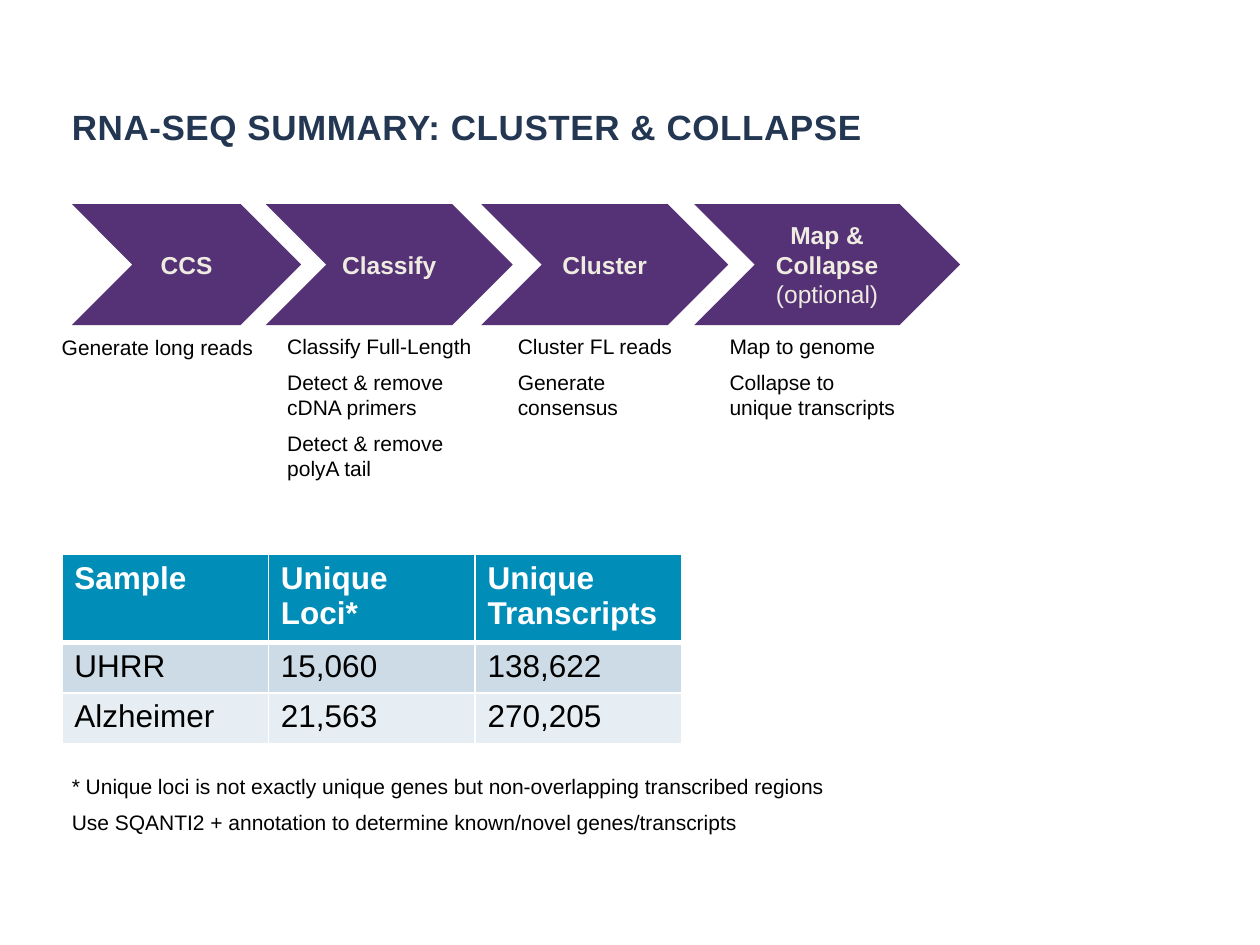
from lxml import etree
from pptx import Presentation
from pptx.dml.color import RGBColor
from pptx.enum import shapes, text
from pptx.oxml.ns import qn
from pptx.util import Inches, Pt

THEME = {
    "font": "Arial",
    "title": "233652", "chevron": "553176", "chevron_text": "EEECE1",
    "body": "000000", "header": "008EB9", "white": "FFFFFF",
    "bands": ("CCDBE6", "E7EEF3"),
    "title_size": 20, "step_size": 14, "note_size": 12, "table_size": 18,
}

TITLE = "RNA-SEQ SUMMARY: CLUSTER & COLLAPSE"
# Each step: name, qualifier, chevron (left, width), note (left, top, width), notes
STEPS = [
    ("CCS", None, (0.57, 1.82), (0.49, 2.61, 1.7), ["Generate long reads"]),
    ("Classify", None, (2.11, 1.96), (2.28, 2.6, 1.63),
     ["Classify Full-Length", "Detect & remove cDNA primers", "Detect & remove polyA tail"]),
    ("Cluster", None, (3.82, 1.96), (4.11, 2.6, 1.44),
     ["Cluster FL reads", "Generate consensus"]),
    ("Map & Collapse", "(optional)", (5.51, 2.11), (5.79, 2.6, 1.44),
     ["Map to genome", "Collapse to unique transcripts"]),
]
CHEVRON_TOP, CHEVRON_HEIGHT = 1.62, 0.96
TABLE = [
    (["Sample"], ["Unique", "Loci*"], ["Unique", "Transcripts"]),
    (["UHRR"], ["15,060"], ["138,622"]),
    (["Alzheimer"], ["21,563"], ["270,205"]),
]
ROW_HEIGHTS = (0.69, 0.4, 0.4)
COLUMN_WIDTH = 1.64
FOOTNOTES = [
    "* Unique loci is not exactly unique genes but non-overlapping transcribed regions",
    "Use SQANTI2 + annotation to determine known/novel genes/transcripts",
]


def rgb(name):
    return RGBColor.from_string(THEME.get(name, name))


def write(frame, lines, size, color="body", bold=False, align=None, after=None, spacing=None):
    """Fill a text frame with one paragraph per line."""
    for index, line in enumerate(lines):
        paragraph = frame.paragraphs[0] if index == 0 else frame.add_paragraph()
        paragraph.alignment = align
        if after is not None:
            paragraph.space_after = Pt(after)
        run = paragraph.add_run()
        run.text = line
        run.font.name = THEME["font"]
        run.font.size = Pt(THEME[size])
        run.font.bold = bold
        run.font.color.rgb = rgb(color)
        if spacing:
            run.font._element.set("spc", str(round(spacing * 100)))


def add_text(slide, box, lines, size, **style):
    frame = slide.shapes.add_textbox(*map(Inches, box)).text_frame
    frame.word_wrap = True
    frame.margin_left = 0
    write(frame, lines, size, **style)


def add_step(slide, name, qualifier, left, width):
    shape = slide.shapes.add_shape(
        shapes.MSO_SHAPE.CHEVRON, Inches(left), Inches(CHEVRON_TOP),
        Inches(width), Inches(CHEVRON_HEIGHT))
    shape.shadow.inherit = False
    shape.fill.solid()
    shape.fill.fore_color.rgb = rgb("chevron")
    shape.line.fill.background()
    frame = shape.text_frame
    frame.word_wrap = True
    frame.vertical_anchor = text.MSO_ANCHOR.MIDDLE
    lines = [name, qualifier] if qualifier else [name]
    write(frame, lines, "step_size", color="chevron_text", bold=True,
          align=text.PP_ALIGN.CENTER)
    if qualifier:
        frame.paragraphs[-1].runs[0].font.bold = False


def set_borders(cell, widths):
    """Put white borders, given in points by side, ahead of the cell's fill."""
    properties = cell._tc.get_or_add_tcPr()
    for position, (side, width) in enumerate(widths.items()):
        line = etree.Element(qn(f"a:ln{side}"), w=str(Pt(width)))
        fill = etree.SubElement(line, qn("a:solidFill"))
        etree.SubElement(fill, qn("a:srgbClr"), val=THEME["white"])
        properties.insert(position, line)


def add_sample_table(slide, left, top):
    columns = len(TABLE[0])
    table = slide.shapes.add_table(
        len(TABLE), columns, Inches(left), Inches(top),
        Inches(COLUMN_WIDTH * columns), Inches(sum(ROW_HEIGHTS))).table
    for column in table.columns:
        column.width = Inches(COLUMN_WIDTH)
    for r, row in enumerate(TABLE):
        table.rows[r].height = Inches(ROW_HEIGHTS[r])
        header = r == 0
        for c, lines in enumerate(row):
            cell = table.cell(r, c)
            cell.fill.solid()
            cell.fill.fore_color.rgb = rgb("header" if header else THEME["bands"][(r - 1) % 2])
            write(cell.text_frame, lines, "table_size",
                  color="white" if header else "body", bold=header)
            set_borders(cell, {"L": 1, "R": 1, "T": 3 if r == 1 else 1, "B": 3 if header else 1})


def main():
    presentation = Presentation()
    presentation.slide_width, presentation.slide_height = Inches(10), Inches(7.5)
    slide = presentation.slides.add_slide(presentation.slide_layouts[6])
    add_text(slide, (0.57, 0.79, 8.92, 0.44), [TITLE], "title_size",
             color="title", bold=True, spacing=0.3)
    for name, qualifier, chevron, (left, top, width), notes in STEPS:
        add_step(slide, name, qualifier, *chevron)
        add_text(slide, (left, top, width, 1), notes, "note_size", after=6)
    add_sample_table(slide, 0.49, 4.4)
    add_text(slide, (0.57, 6.09, 7, 0.7), FOOTNOTES, "note_size", after=6)
    presentation.save("out.pptx")


if __name__ == "__main__":
    main()
